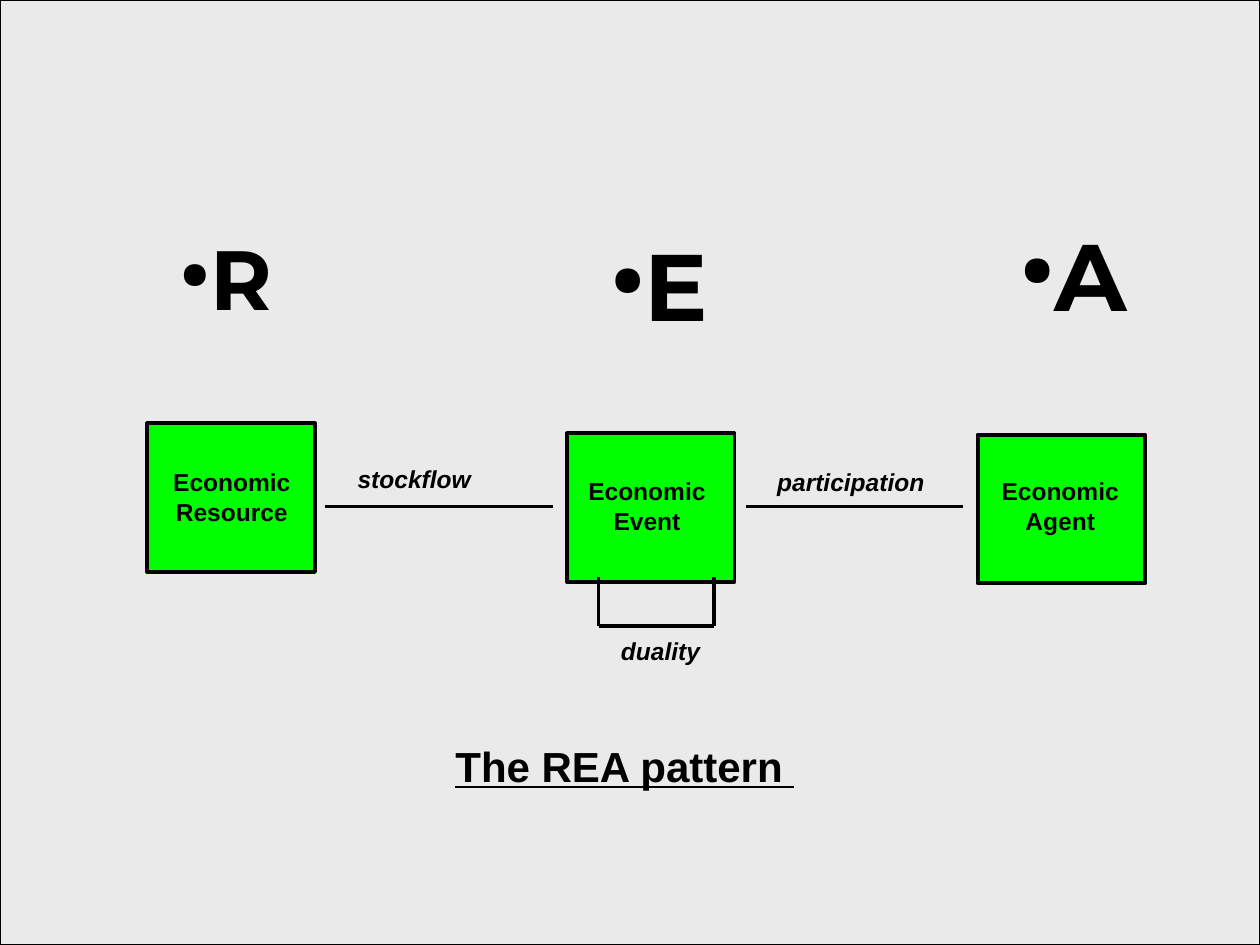
from dataclasses import dataclass

from lxml.etree import SubElement
from pptx import Presentation
from pptx.dml.color import RGBColor
from pptx.enum.shapes import MSO_CONNECTOR, MSO_SHAPE
from pptx.enum.text import PP_ALIGN
from pptx.oxml.ns import qn
from pptx.util import Inches, Pt


@dataclass(frozen=True)
class Theme:
    background: RGBColor = RGBColor(0xEA, 0xEA, 0xEA)
    entity: RGBColor = RGBColor(0x00, 0xFF, 0x00)
    ink: RGBColor = RGBColor(0x00, 0x00, 0x00)
    body_font: str = "Arial"
    letter_font: str = "Montserrat"
    label_size: int = 14
    title_size: int = 24
    frame_width: float = 0.75
    line_width: float = 2.25


class SlideBuilder:
    def __init__(self, slide, theme):
        self.slide = slide
        self.theme = theme

    def rectangle(self, left, top, width, height, fill, line_width):
        shape = self.slide.shapes.add_shape(
            MSO_SHAPE.RECTANGLE, Inches(left), Inches(top), Inches(width), Inches(height))
        shape.shadow.inherit = False
        shape.fill.solid()
        shape.fill.fore_color.rgb = fill
        shape.line.color.rgb = self.theme.ink
        shape.line.width = Pt(line_width)

    def line(self, start_x, start_y, end_x, end_y):
        connector = self.slide.shapes.add_connector(
            MSO_CONNECTOR.STRAIGHT, Inches(start_x), Inches(start_y), Inches(end_x), Inches(end_y))
        connector.line.color.rgb = self.theme.ink
        connector.line.width = Pt(self.theme.line_width)
        SubElement(connector._element.spPr, qn("a:effectLst"))

    def text(self, text, left, top, width, height, size, font=None,
             align=PP_ALIGN.LEFT, wrap=True, bullet=False, italic=False, underline=False):
        box = self.slide.shapes.add_textbox(
            Inches(left), Inches(top), Inches(width), Inches(height))
        box.text_frame.word_wrap = wrap
        paragraph = box.text_frame.paragraphs[0]
        paragraph.text = text
        paragraph.alignment = align
        if bullet:
            self.bullet(paragraph)
        paragraph.font.name = font or self.theme.body_font
        paragraph.font.size = Pt(size)
        paragraph.font.bold = True
        paragraph.font.italic = italic
        paragraph.font.underline = underline
        paragraph.font.color.rgb = self.theme.ink

    def bullet(self, paragraph):
        properties = paragraph._p.get_or_add_pPr()
        properties.set("marL", str(Inches(0.24)))
        properties.set("indent", str(Inches(-0.24)))
        color = SubElement(properties, qn("a:buClr"))
        SubElement(color, qn("a:srgbClr"), val=str(self.theme.ink))
        SubElement(properties, qn("a:buSzPct"), val="45000")
        SubElement(properties, qn("a:buChar"), char="●")

    def entity(self, name, left, top, text_left, text_top, text_width):
        self.rectangle(left, top, 1.33, 1.18, self.theme.entity, self.theme.line_width)
        self.text(name, text_left, text_top, text_width, 0.57,
                  self.theme.label_size, align=PP_ALIGN.CENTER)

    def relation(self, name, left, top, width):
        self.text(name, left, top, width, 0.34, self.theme.label_size, italic=True)

    def letter(self, letter, left, top, width, height, size):
        self.text(letter, left, top, width, height, size,
                  font=self.theme.letter_font, wrap=False, bullet=True)


def main():
    presentation = Presentation()
    presentation.slide_width = Inches(10)
    presentation.slide_height = Inches(7.5)
    theme = Theme()
    builder = SlideBuilder(presentation.slides.add_slide(presentation.slide_layouts[6]), theme)

    builder.rectangle(0, 0, 10, 7.5, theme.background, theme.frame_width)
    builder.text("The REA pattern ", 0.17, 5.83, 9.58, 0.5, theme.title_size,
                 align=PP_ALIGN.CENTER, underline=True)

    for entity in (
        ("Economic Resource", 1.17, 3.36, 1.25, 3.66, 1.18),
        ("Economic Event", 4.5, 3.44, 4.5, 3.73, 1.27),
        ("Economic Agent", 7.76, 3.45, 7.75, 3.73, 1.33),
    ):
        builder.entity(*entity)

    for relation in (
        ("stockflow", 2.74, 3.63, 1.43),
        ("participation", 6.07, 3.66, 1.43),
        ("duality", 4.83, 5, 0.95),
    ):
        builder.relation(*relation)

    for start_x, end_x in ((2.58, 4.39), (5.92, 7.64)):
        builder.line(start_x, 4.02, end_x, 4.02)

    loop_left, loop_right, loop_top, loop_bottom = 4.75, 5.67, 4.58, 4.97
    for x in (loop_left, loop_right):
        builder.line(x, loop_bottom, x, loop_top)
    builder.line(loop_left, loop_bottom, loop_right, loop_bottom)

    for letter in (
        ("R", 1.33, 1.75, 0.83, 0.94, 48),
        ("E", 4.75, 1.75, 0.58, 0.92, 54),
        ("A", 8, 1.67, 0.75, 0.92, 54),
    ):
        builder.letter(*letter)

    presentation.save("out.pptx")


if __name__ == "__main__":
    main()
